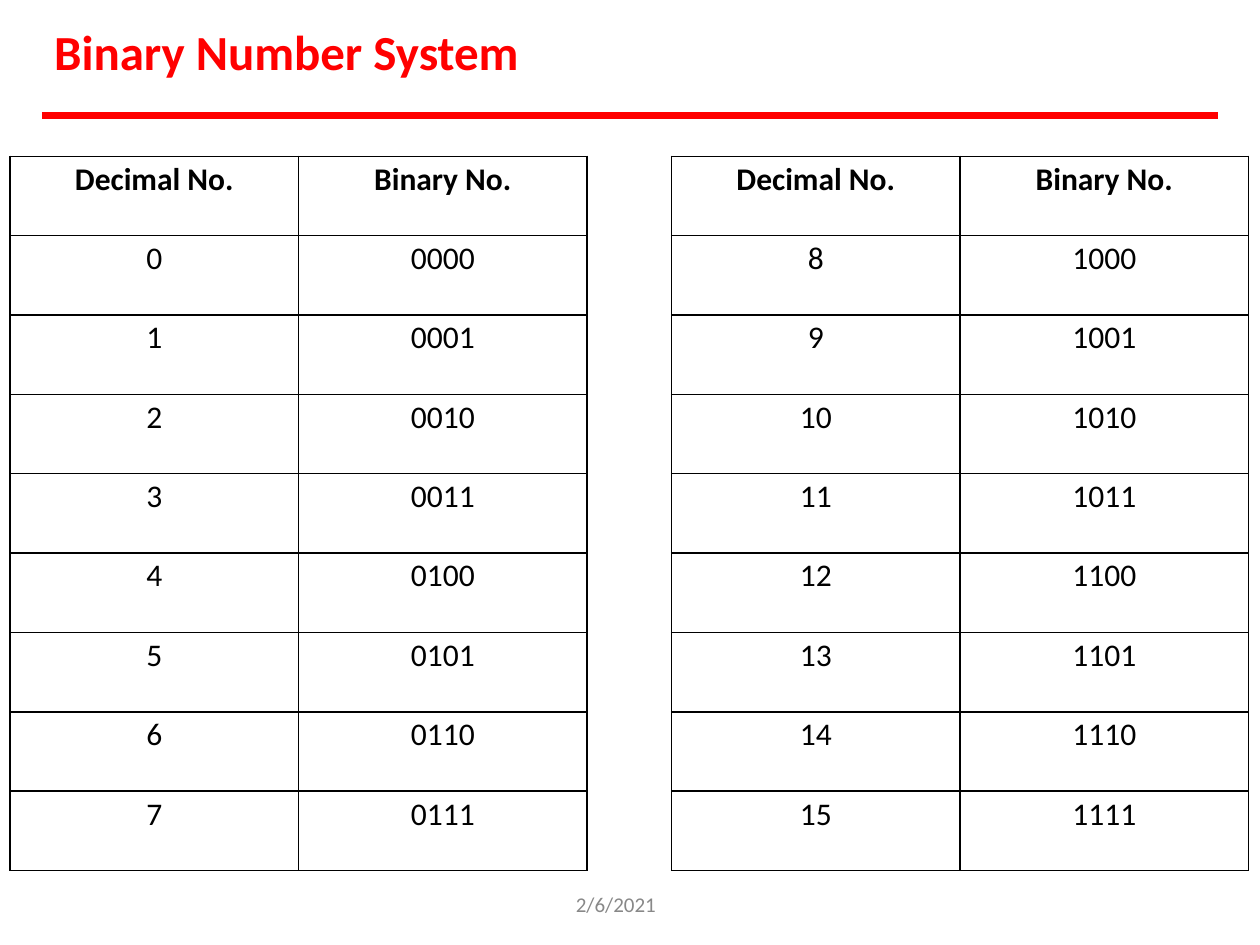
from dataclasses import dataclass

from lxml import etree
from pptx import Presentation, util as u
from pptx.dml.color import RGBColor
from pptx.enum import shapes, text
from pptx.oxml.ns import qn


@dataclass(frozen=True)
class Theme:
    font: str = "Calibri"
    accent: str = "FF0000"
    ink: str = "000000"
    muted: str = "888888"
    title_size: int = 28
    table_size: int = 18
    date_size: int = 12
    rule_width: int = 4
    border_width: int = 1


THEME = Theme()
WIDTH, HEIGHT = u.Inches(10), u.Inches(7.5)
COLUMN, ROW = u.Inches(2.29), u.Inches(0.63)
TABLE_TOP = u.Inches(1.24)
TABLE_LEFTS = u.Inches(0.08), u.Inches(5.33)
HEADINGS = "Decimal No.", "Binary No."
NUMBERS_PER_TABLE = 8


def add_run(paragraph, words, size, color, bold=False):
    run = paragraph.add_run()
    run.text = words
    run.font.name = THEME.font
    run.font.size = u.Pt(size)
    run.font.bold = bold
    run.font.color.rgb = RGBColor.from_string(color)


def add_label(slide, box, words, size, color, bold=False, line_spacing=1.0):
    label = slide.shapes.add_textbox(*(u.Inches(length) for length in box))
    frame = label.text_frame
    frame.margin_left = frame.margin_right = 0
    frame.margin_top = frame.margin_bottom = 0
    frame.word_wrap = False
    paragraph = frame.paragraphs[0]
    paragraph.line_spacing = line_spacing
    add_run(paragraph, words, size, color, bold)


def add_rule(slide, y):
    margin = WIDTH // 30
    rule = slide.shapes.add_connector(
        shapes.MSO_CONNECTOR.STRAIGHT, margin, y, WIDTH - margin, y)
    rule.line.color.rgb = RGBColor.from_string(THEME.accent)
    rule.line.width = u.Pt(THEME.rule_width)
    etree.SubElement(rule._element.spPr, qn("a:effectLst"))


def add_borders(cell):
    properties = cell._tc.get_or_add_tcPr()
    for position, side in enumerate(("a:lnL", "a:lnR", "a:lnT", "a:lnB")):
        border = etree.Element(qn(side), w=str(u.Pt(THEME.border_width)))
        fill = etree.SubElement(border, qn("a:solidFill"))
        etree.SubElement(fill, qn("a:srgbClr"), val=THEME.ink)
        properties.insert(position, border)


def fill_cell(cell, words, bold):
    cell.fill.background()
    cell.margin_left = cell.margin_right = cell.margin_bottom = 0
    cell.margin_top = u.Inches(0.03)
    paragraph = cell.text_frame.paragraphs[0]
    paragraph.alignment = text.PP_ALIGN.CENTER
    add_run(paragraph, words, THEME.table_size, THEME.ink, bold)
    add_borders(cell)


def add_number_table(slide, left, numbers):
    entries = [HEADINGS] + [(str(n), f"{n:04b}") for n in numbers]
    rows, columns = len(entries), len(HEADINGS)
    table = slide.shapes.add_table(
        rows, columns, left, TABLE_TOP, columns * COLUMN, rows * ROW).table
    table.horz_banding = False
    for column in table.columns:
        column.width = COLUMN
    for r, entry in enumerate(entries):
        table.rows[r].height = ROW
        for c, words in enumerate(entry):
            fill_cell(table.cell(r, c), words, bold=r == 0)


def main():
    deck = Presentation()
    deck.slide_width, deck.slide_height = WIDTH, HEIGHT
    slide = deck.slides.add_slide(deck.slide_layouts[6])
    add_rule(slide, u.Inches(0.92))
    add_label(slide, (0.43, 0.17, 3.73, 0.5), "Binary Number System",
              THEME.title_size, THEME.accent, bold=True)
    for index, left in enumerate(TABLE_LEFTS):
        first = index * NUMBERS_PER_TABLE
        add_number_table(slide, left, range(first, first + NUMBERS_PER_TABLE))
    add_label(slide, (4.57, 7.07, 0.88, 0.19), "2/6/2021",
              THEME.date_size, THEME.muted, line_spacing=1.03)
    deck.save("out.pptx")


if __name__ == "__main__":
    main()
